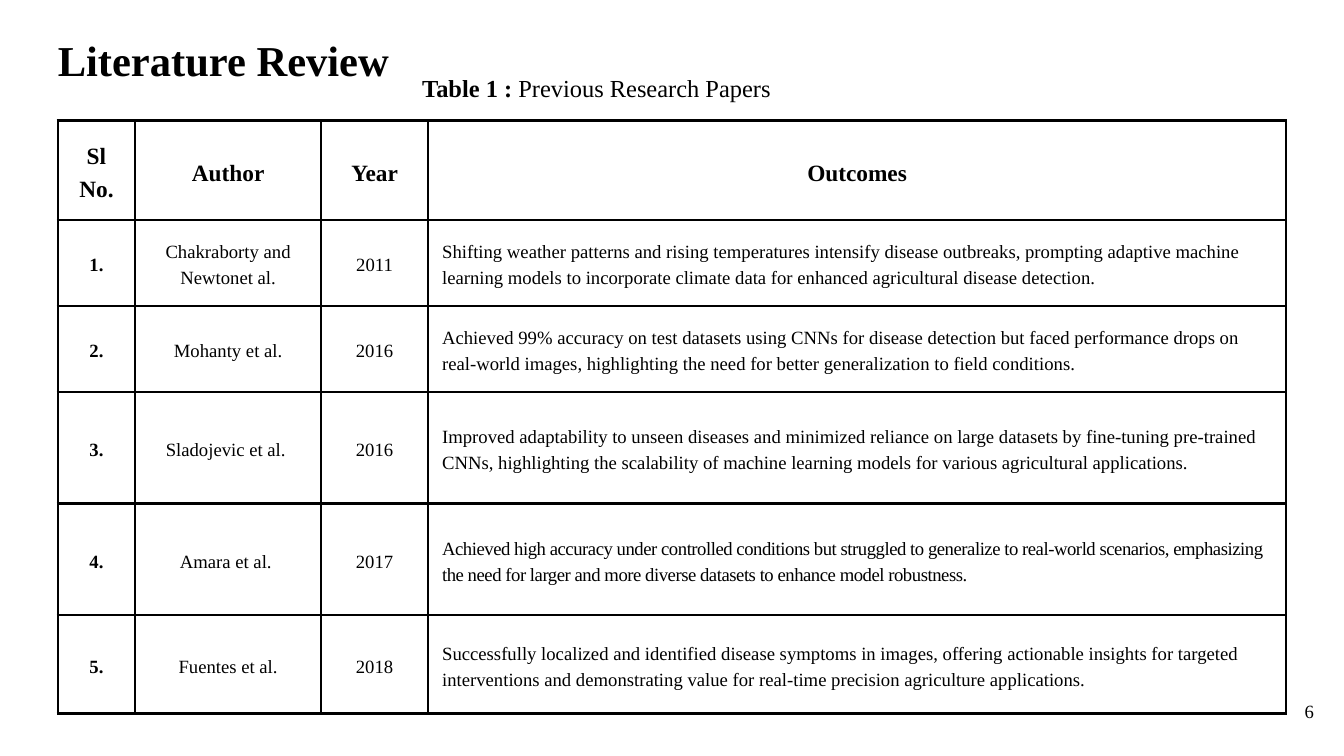
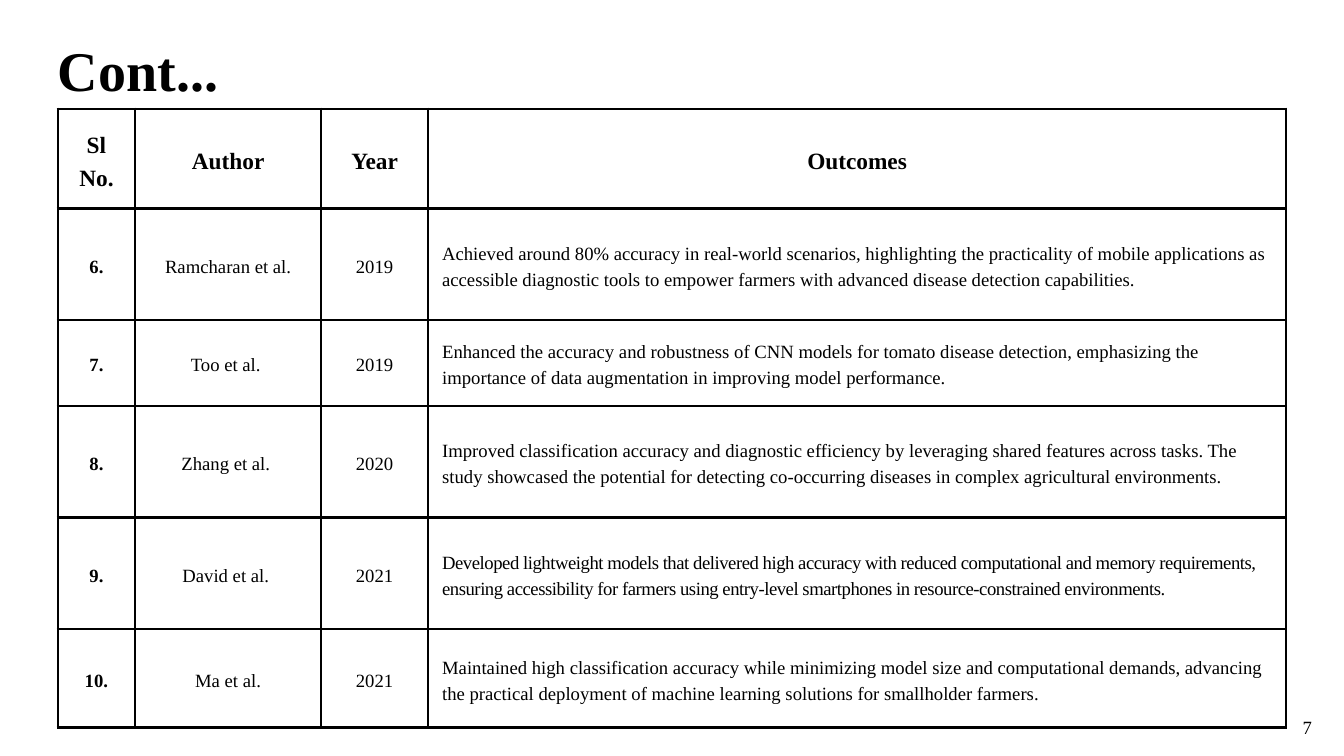
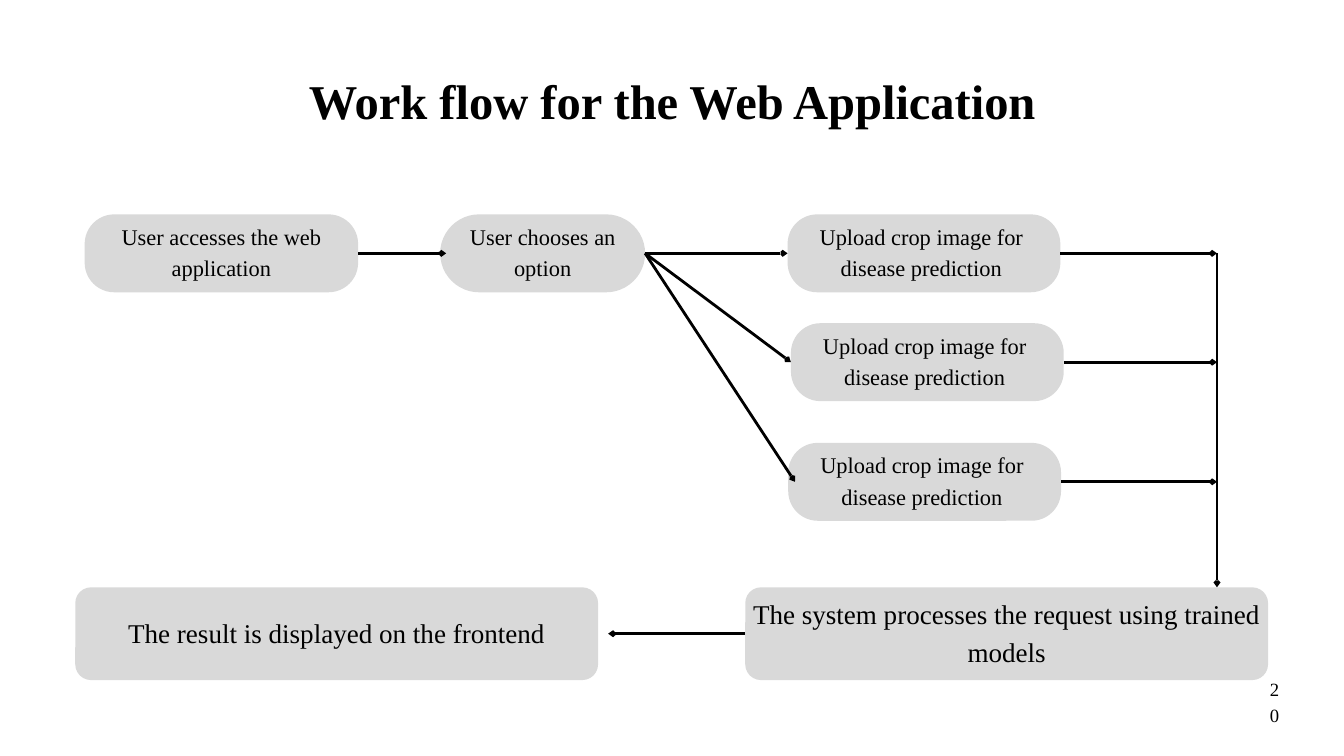
from lxml import etree
from pptx import Presentation
from pptx import util as u
from pptx.dml.color import RGBColor
from pptx.enum import shapes, text
from pptx.oxml.ns import qn

PX = 9144
FONT = "Times New Roman"
BLACK = "000000"
GREY = "D9D9D9"
LINE_WIDTH = 3
LEADING = 1.4
TOP, LEFT, BOTTOM, RIGHT = range(4)

TABLE_LEFT = 86
CELL_INSET = 21
COLUMN_WIDTHS = [115, 277, 159, 1277]
HEADINGS = ["Sl No.", "Author", "Year", "Outcomes"]

EARLY_PAPERS = [
    ("1.", "Chakraborty and Newtonet al.", "2011",
     "Shifting weather patterns and rising temperatures intensify disease outbreaks, prompting adaptive "
     "machine learning models to incorporate climate data for enhanced agricultural disease detection."),
    ("2.", "Mohanty et al.", "2016",
     "Achieved 99% accuracy on test datasets using CNNs for disease detection but faced performance drops on "
     "real-world images, highlighting the need for better generalization to field conditions."),
    ("3.", "Sladojevic et al. ", "2016",
     "Improved adaptability to unseen diseases and minimized reliance on large datasets by fine-tuning "
     "pre-trained CNNs, highlighting the scalability of machine learning models for various agricultural "
     "applications."),
    ("4.", "Amara et al. ", "2017",
     "Achieved high accuracy under controlled conditions but struggled to generalize to real-world scenarios, "
     "emphasizing the need for larger and more diverse datasets to enhance model robustness."),
    ("5.", "Fuentes et al.", "2018",
     "Successfully localized and identified disease symptoms in images, offering actionable insights for "
     "targeted interventions and demonstrating value for real-time precision agriculture applications."),
]

LATER_PAPERS = [
    ("6.", "Ramcharan et al.", "2019",
     "Achieved around 80% accuracy in real-world scenarios, highlighting the practicality of mobile "
     "applications as accessible diagnostic tools to empower farmers with advanced disease detection "
     "capabilities."),
    ("7.", "Too et al. ", "2019",
     "Enhanced the accuracy and robustness of CNN models for tomato disease detection, emphasizing the "
     "importance of data augmentation in improving model performance."),
    ("8.", "Zhang et al. ", "2020",
     "Improved classification accuracy and diagnostic efficiency by leveraging shared features across tasks. "
     "The study showcased the potential for detecting co-occurring diseases in complex agricultural "
     "environments."),
    ("9.", "David et al. ", "2021",
     "Developed lightweight models that delivered high accuracy with reduced computational and memory "
     "requirements, ensuring accessibility for farmers using entry-level smartphones in "
     "resource-constrained environments."),
    ("10.", "Ma et al.", "2021",
     "Maintained high classification accuracy while minimizing model size and computational demands, "
     "advancing the practical deployment of machine learning solutions for smallholder farmers."),
]
TIGHT_ROW = 4


def px(length):
    return u.Emu(length * PX)


def color(value):
    return RGBColor.from_string(value)


def add_span(para, words, size, bold=False, tracking=0):
    span = para.add_run()
    span.text = words
    span.font.name = FONT
    span.font.size = u.Pt(size)
    span.font.bold = bold
    span.font.color.rgb = color(BLACK)
    if tracking:
        span._r.get_or_add_rPr().set("spc", str(tracking))


def write(frame, spans, size, centered=True, tracking=0):
    para = frame.paragraphs[0]
    para.alignment = text.PP_ALIGN.CENTER if centered else text.PP_ALIGN.LEFT
    para.line_spacing = u.Pt(round(size * LEADING, 1))
    for words, bold in spans:
        add_span(para, words, size, bold, tracking)


def set_insets(holder, left=0, top=0, right=0, bottom=0):
    holder.margin_left, holder.margin_top = px(left), px(top)
    holder.margin_right, holder.margin_bottom = px(right), px(bottom)


def add_text(page, left, top, width, height, spans, size, centered=True):
    box = page.shapes.add_textbox(px(left), px(top), px(width), px(height))
    frame = box.text_frame
    frame.word_wrap = True
    frame.auto_size = text.MSO_AUTO_SIZE.SHAPE_TO_FIT_TEXT
    set_insets(frame)
    write(frame, spans, size, centered)


def add_title(page, left, top, width, height, words, size, centered=False):
    add_text(page, left, top, width, height, [(words, True)], size, centered)


def add_page_number(page, left, top, number):
    add_text(page, left, top, 17, 26, [(number, False)], 20)


def border_cell(cell):
    properties = cell._tc.get_or_add_tcPr()
    for position, side in enumerate(("a:lnL", "a:lnR", "a:lnT", "a:lnB")):
        line = etree.Element(qn(side), w=str(u.Pt(LINE_WIDTH)))
        fill = etree.SubElement(line, qn("a:solidFill"))
        etree.SubElement(fill, qn("a:srgbClr"), val=BLACK)
        properties.insert(position, line)


def fill_cell(cell, words, size, bold, centered, tracking):
    cell.vertical_anchor = text.MSO_ANCHOR.MIDDLE
    set_insets(cell, *[CELL_INSET] * 4)
    cell.fill.background()
    border_cell(cell)
    write(cell.text_frame, [(words, bold)], size, centered, tracking)


def add_paper_table(page, top, row_heights, papers):
    rows = [HEADINGS, *papers]
    table = page.shapes.add_table(
        len(rows), len(HEADINGS), px(TABLE_LEFT), px(top),
        px(sum(COLUMN_WIDTHS)), px(sum(row_heights))).table
    table.first_row = table.horz_banding = False
    for column, width in zip(table.columns, COLUMN_WIDTHS):
        column.width = px(width)
    for row, height in zip(table.rows, row_heights):
        row.height = px(height)
    outcome = len(HEADINGS) - 1
    for r, values in enumerate(rows):
        heading = r == 0
        for c, words in enumerate(values):
            fill_cell(table.cell(r, c), words, 25 if heading else 20,
                      bold=heading or c == 0,
                      centered=heading or c != outcome,
                      tracking=-50 if r == TIGHT_ROW and c == outcome else 0)


def add_step(page, left, top, width, height, words, size, rounding, right_inset=0):
    step = page.shapes.add_shape(shapes.MSO_SHAPE.ROUNDED_RECTANGLE,
                                 px(left), px(top), px(width), px(height))
    step.adjustments[0] = rounding
    step.shadow.inherit = False
    step.fill.solid()
    step.fill.fore_color.rgb = color(GREY)
    step.line.fill.background()
    frame = step.text_frame
    frame.word_wrap = True
    frame.vertical_anchor = text.MSO_ANCHOR.MIDDLE
    set_insets(frame, right=right_inset, bottom=10)
    write(frame, [(words, False)], size)
    return step


def add_small_step(page, left, top, width, words, rounding=0.38, right_inset=0):
    return add_step(page, left, top, width, 116, words, 24, rounding, right_inset)


def add_large_step(page, left, words):
    return add_step(page, left, 874, 778, 138, words, 29, 0.17)


def add_arrow(page, start, end, source=None, source_side=RIGHT, target=None):
    arrow = page.shapes.add_connector(shapes.MSO_CONNECTOR.STRAIGHT,
                                      px(start[0]), px(start[1]), px(end[0]), px(end[1]))
    if source is not None:
        arrow.begin_connect(source, source_side)
    if target is not None:
        arrow.end_connect(target, LEFT)
    arrow.line.color.rgb = color(BLACK)
    arrow.line.width = u.Pt(LINE_WIDTH)
    etree.SubElement(arrow.line._get_or_add_ln(), qn("a:tailEnd"), type="arrow", w="sm", len="sm")
    etree.SubElement(arrow._element.spPr, qn("a:effectLst"))


def build_review(page):
    add_paper_table(page, 179, [148, 128, 128, 166, 166, 147], EARLY_PAPERS)
    add_title(page, 86, 38, 631, 96, "Literature Review", 45.6)
    add_page_number(page, 1940, 1036, "6")
    add_text(page, 620, 101, 535, 55,
             [("Table 1 :", True), (" Previous Research Papers", False)], 26.2)


def build_review_continued(page):
    add_page_number(page, 1937, 1060, "7")
    add_paper_table(page, 162, [148, 166, 128, 166, 166, 147], LATER_PAPERS)
    add_title(page, 86, 36, 565, 126, "Cont...", 60)


def build_workflow(page):
    add_title(page, 385, 91, 1231, 108, "Work flow for the Web Application", 52, centered=True)
    add_page_number(page, 1888, 1003, "20")

    access = add_small_step(page, 126, 319, 407, "User accesses the web application")
    choice = add_small_step(page, 655, 319, 305, "User chooses an option", rounding=0.5)
    uploads = [add_small_step(page, left, top, 406, "Upload crop image for disease prediction",
                              right_inset=8)
               for left, top in ((1172, 319), (1177, 481), (1173, 659))]
    process = add_large_step(page, 1109, "The system processes the request using trained models")
    add_large_step(page, 112, "The result is displayed on the frontend")

    rail, first_row = 1811, 377
    add_arrow(page, (533, first_row), (664, first_row), access)
    for upload, middle in zip(uploads, (first_row, 539, 717)):
        if upload is uploads[-1]:
            add_arrow(page, (960, first_row), (1183, middle), choice)
        else:
            add_arrow(page, (960, first_row), (1172, middle), choice, target=upload)
        add_arrow(page, (1578, middle), (rail, middle), upload)
    add_arrow(page, (rail, first_row), (rail, 874))
    add_arrow(page, (1109, 943), (905, 943), process, LEFT)


def main():
    deck = Presentation()
    deck.slide_width, deck.slide_height = px(2000), px(1125)
    for build in (build_review, build_review_continued, build_workflow):
        build(deck.slides.add_slide(deck.slide_layouts[6]))
    deck.save("out.pptx")


if __name__ == "__main__":
    main()
